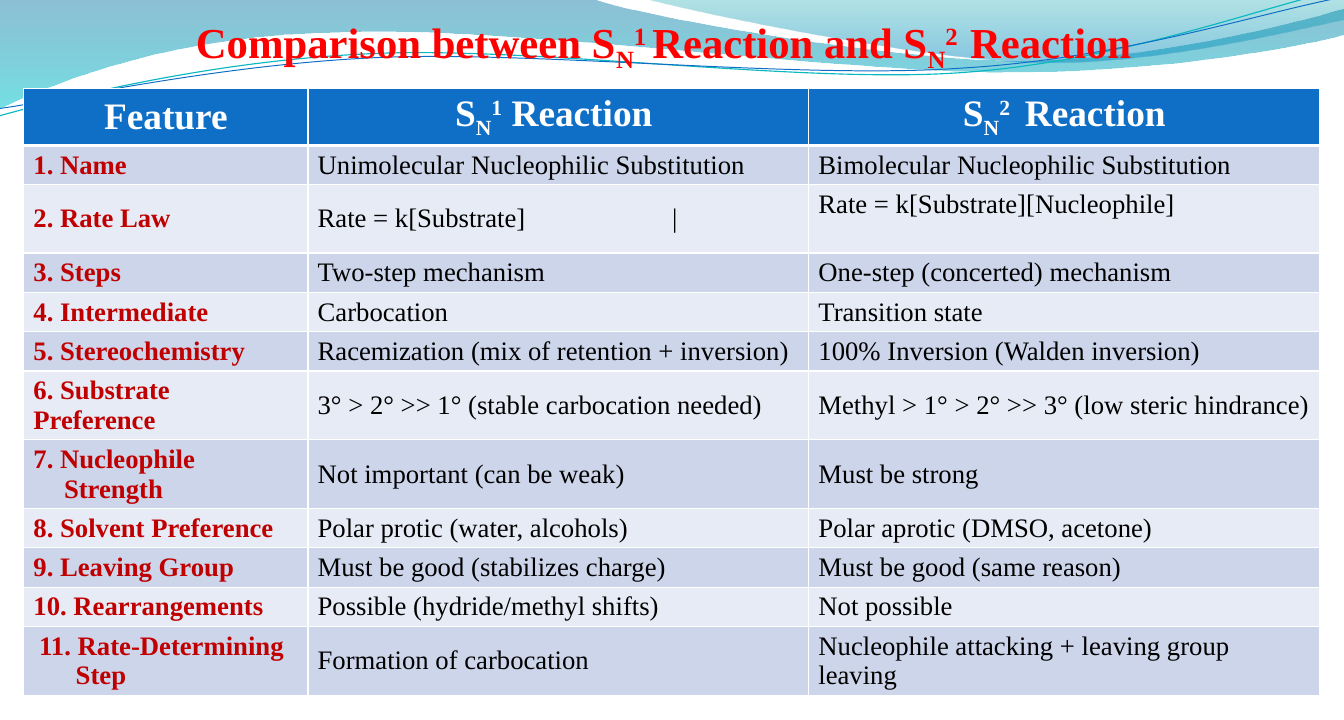
from lxml import etree
from pptx import Presentation
from pptx.dml.color import RGBColor
from pptx.enum.text import MSO_ANCHOR, MSO_AUTO_SIZE, PP_ALIGN
from pptx.oxml.ns import qn
from pptx.util import Cm, Pt

LEFT, CENTER = PP_ALIGN.LEFT, PP_ALIGN.CENTER
TOP, MIDDLE = MSO_ANCHOR.TOP, MSO_ANCHOR.MIDDLE
NO_AUTOSIZE = MSO_AUTO_SIZE.NONE

COLORS = {
    "title": "FF0000", "header": "0F6FC6", "header_text": "FFFFFF",
    "feature": "C00000", "text": "000000", "odd": "CCD5EA", "even": "E7EBF5",
    "border": "FFFFFF", "teal_line": "0AB8BF", "blue_line": "0F6FC6",
}
FONT = "Times New Roman"
TITLE = {"size": Pt(32), "bold": True, "name": FONT}
HEADER = {"size": Pt(28), "bold": True, "name": FONT}
FEATURE = {"size": Pt(20), "bold": True, "name": FONT}
BODY = {"size": Pt(20), "bold": False, "name": FONT}

COLUMN_WIDTHS = (7.52, 13.25, 13.52)
HEADER_HEIGHT, LINE_HEIGHT, TALL_HEIGHT = 1.48, 1.04, 1.81
HEADER_BORDERS = {"lnL": 1, "lnR": 1, "lnT": 1, "lnB": 3}
TALL_ROWS = (2, 6, 7, 11)
HANGING = {7: (0.81, -0.81), 11: (1.12, -0.97)}
BAR_TAB = 9.38

ROWS = [
    ("1. Name", "Unimolecular Nucleophilic Substitution",
     "Bimolecular Nucleophilic Substitution"),
    ("2. Rate Law", "Rate = k[Substrate]\t|", "Rate = k[Substrate][Nucleophile]"),
    ("3. Steps", "Two-step mechanism", "One-step (concerted) mechanism"),
    ("4. Intermediate", "Carbocation", "Transition state"),
    ("5. Stereochemistry", "Racemization (mix of retention + inversion)",
     "100% Inversion (Walden inversion)"),
    ("6. Substrate Preference", "3° > 2° >> 1° (stable carbocation needed)",
     "Methyl > 1° > 2° >> 3° (low steric hindrance)"),
    ("7. Nucleophile Strength", "Not important (can be weak)", "Must be strong"),
    ("8. Solvent Preference", "Polar protic (water, alcohols)",
     "Polar aprotic (DMSO, acetone)"),
    ("9. Leaving Group", "Must be good (stabilizes charge)",
     "Must be good (same reason)"),
    ("10. Rearrangements", "Possible (hydride/methyl shifts)", "Not possible"),
    ("11. Rate-Determining Step", "Formation of carbocation",
     "Nucleophile attacking + leaving group leaving"),
]

# Outlines in cm: a start, then segments of one point (line) or three (Bezier curve).
BAND = [[(0, 0)], [(15.65, -0.03)],
        [(16.92, 0.43), (23.6, 1.6), (26.97, 1.6)],
        [(30.33, 1.6), (34.09, 0.66), (35.56, 0.23)], [(35.59, 0.91)],
        [(34.98, 1.12), (30.94, 1.93), (26.52, 1.91)],
        [(22.12, 1.91), (13.56, 0.71), (9.14, 0.86)],
        [(4.6, 0.91), (1.63, 2.11), (-0.03, 2.87)], [(0, 0)]]
CREST = [[(17.04, -0.03)], [(18.11, 0.28), (24.26, 1.57), (27.33, 1.65)],
         [(30.43, 1.75), (34.19, 0.81), (35.56, 0.53)], [(35.56, 0)],
         [(17.04, -0.03)]]
TEAL_WAVE = [[(-0.03, 3.07)], [(1.7, 2.59), (5.61, 1.6), (9.83, 1.42)],
             [(14.07, 1.22), (21.06, 2.21), (25.32, 1.93)],
             [(29.62, 1.65), (33.38, 0.18), (35.51, -0.28)]]
BLUE_WAVE = [[(0, 2.87)], [(1.68, 2.64), (5.82, 1.7), (10.08, 1.52)],
             [(14.33, 1.35), (21.23, 2.11), (25.48, 1.8)],
             [(29.72, 1.55), (33.48, 0.3), (35.56, -0.08)]]
# Gradient stops: position, colour, opacity in percent.
BAND_STOPS = [(0, "0074A1", 45), (1, "00C6CF", 55)]
CREST_STOPS = [(0, "00A1A9", 30), (0.8, "008BBF", 45)]


def rgb(name):
    return RGBColor.from_string(COLORS[name])


def add_freeform(s, outline, close):
    """Build the outline with line segments, then join each three into a curve."""
    points = [(Cm(x), Cm(y)) for segment in outline for x, y in segment]
    builder = s.shapes.build_freeform(*points[0])
    builder.add_line_segments(points[1:], close=close)
    sp = builder.convert_to_shape()
    sp.shadow.inherit = False
    lines = iter(list(sp.element.iter(qn("a:lnTo"))))
    for segment in outline[1:]:
        group = [next(lines) for _ in segment]
        if len(group) == 3:
            group[0].tag = qn("a:cubicBezTo")
            for line in group[1:]:
                group[0].append(line[0])
                line.getparent().remove(line)
    return sp


def add_gradient_wave(s, outline, stops):
    sp = add_freeform(s, outline, True)
    sp.line.fill.background()
    sp.fill.gradient()
    sp.fill.gradient_angle = 270
    for stop, (position, color, _) in zip(sp.fill.gradient_stops, stops):
        stop.position = position
        stop.color.rgb = RGBColor.from_string(color)
    for clr, (_, _, opacity) in zip(sp.element.spPr.iter(qn("a:srgbClr")), stops):
        etree.SubElement(clr, qn("a:alpha")).set("val", str(opacity * 1000))


def add_line_wave(s, outline, color, width):
    sp = add_freeform(s, outline, False)
    sp.fill.background()
    sp.line.color.rgb = rgb(color)
    sp.line.width = Pt(width)


def reaction(order, tail):
    """Runs of text and baseline shift for S_N with its order raised."""
    return [("S", 0), ("N", -25), (order, 30), (tail, 0)]


def write(p, runs, style, color, align=LEFT):
    p.alignment = align
    for text, baseline in runs:
        r = p.add_run()
        r.text = text
        for name, value in style.items():
            setattr(r.font, name, value)
        r.font.color.rgb = rgb(color)
        rPr = r._r.get_or_add_rPr()
        rPr.set("kern", "0")
        if baseline:
            rPr.set("baseline", str(baseline * 1000))


def set_indent(p, margin, first):
    pPr = p._p.get_or_add_pPr()
    pPr.set("marL", str(Cm(margin)))
    pPr.set("indent", str(Cm(first)))


def set_tab(p, position):
    tabs = etree.SubElement(p._p.get_or_add_pPr(), qn("a:tabLst"))
    etree.SubElement(tabs, qn("a:tab"), pos=str(Cm(position)), algn="l")


def set_borders(cell, widths):
    tcPr = cell._tc.get_or_add_tcPr()
    for i, (side, width) in enumerate(widths.items()):
        ln = etree.Element(qn(f"a:{side}"), w=str(Pt(width)))
        fill = etree.SubElement(ln, qn("a:solidFill"))
        etree.SubElement(fill, qn("a:srgbClr"), val=COLORS["border"])
        tcPr.insert(i, ln)


def fill_cell(cell, fill, runs, style, color, align=LEFT):
    cell.fill.solid()
    cell.fill.fore_color.rgb = rgb(fill)
    cell.vertical_anchor = MIDDLE
    write(cell.text_frame.paragraphs[0], runs, style, color, align)


def add_comparison(s):
    heights = [HEADER_HEIGHT] + [TALL_HEIGHT if i in TALL_ROWS else LINE_HEIGHT
                                 for i in range(1, len(ROWS) + 1)]
    table = s.shapes.add_table(len(heights), len(COLUMN_WIDTHS), Cm(0.63), Cm(2.34),
                               Cm(sum(COLUMN_WIDTHS)), Cm(sum(heights))).table
    for column, width in zip(table.columns, COLUMN_WIDTHS):
        column.width = Cm(width)
    for row, height in zip(table.rows, heights):
        row.height = Cm(height)

    headers = ([("Feature", 0)], reaction("1", " Reaction "), reaction("2 ", " Reaction"))
    for col, runs in enumerate(headers):
        fill_cell(table.cell(0, col), "header", runs, HEADER, "header_text", CENTER)
        set_borders(table.cell(0, col), HEADER_BORDERS)
    for i, texts in enumerate(ROWS, 1):
        for col, text in enumerate(texts):
            style, color = (BODY, "text") if col else (FEATURE, "feature")
            fill_cell(table.cell(i, col), "odd" if i % 2 else "even",
                      [(text, 0)], style, color)
    for i, indent in HANGING.items():
        set_indent(table.cell(i, 0).text_frame.paragraphs[0], *indent)
    set_tab(table.cell(2, 1).text_frame.paragraphs[0], BAR_TAB)
    table.cell(2, 2).vertical_anchor = TOP


def format_title(s):
    sp = s.shapes.title
    sp.left, sp.top, sp.width, sp.height = Cm(4.93), Cm(0.28), Cm(25.98), Cm(1.63)
    tf = sp.text_frame
    tf.word_wrap = False
    tf.auto_size = NO_AUTOSIZE
    tf.vertical_anchor = TOP
    runs = [("Comparison between ", 0), *reaction("1 ", "Reaction and "),
            *reaction("2  ", "Reaction")]
    write(tf.paragraphs[0], runs, TITLE, "title")
    sp.element.getparent().append(sp.element)  # in front of the waves


def main():
    prs = Presentation()
    prs.slide_width, prs.slide_height = Cm(35.56), Cm(19.05)
    s = prs.slides.add_slide(prs.slide_layouts[5])
    add_gradient_wave(s, BAND, BAND_STOPS)
    add_gradient_wave(s, CREST, CREST_STOPS)
    add_line_wave(s, TEAL_WAVE, "teal_line", 0.85)
    add_line_wave(s, BLUE_WAVE, "blue_line", 0.75)
    add_comparison(s)
    format_title(s)
    prs.save("out.pptx")


if __name__ == "__main__":
    main()
